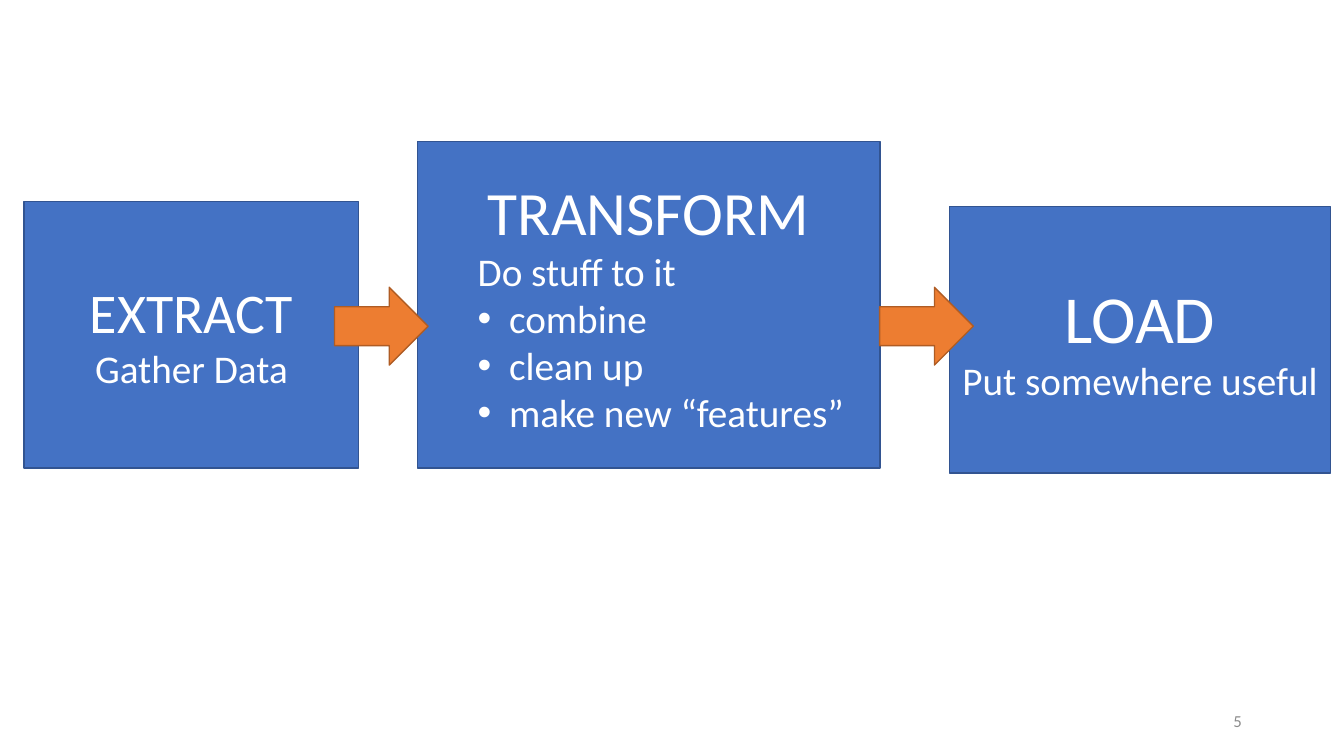
from lxml import etree
from pptx import Presentation
from pptx.dml.color import RGBColor
from pptx.enum.shapes import MSO_SHAPE
from pptx.enum.text import MSO_ANCHOR, PP_ALIGN
from pptx.oxml.ns import qn
from pptx.util import Cm, Pt

RECTANGLE, RIGHT_ARROW = MSO_SHAPE.RECTANGLE, MSO_SHAPE.RIGHT_ARROW
MIDDLE = MSO_ANCHOR.MIDDLE
LEFT, CENTER, RIGHT = PP_ALIGN.LEFT, PP_ALIGN.CENTER, PP_ALIGN.RIGHT

COLORS = {
    "box": "4472C4",
    "box_line": "325491",
    "arrow": "ED7D31",
    "arrow_line": "AF5C24",
    "text": "FFFFFF",
    "page_number": "8C8C8C",
}


class EtlSlide:
    """Draws the boxes, arrows and page number of an extract-transform-load slide."""

    font = "Calibri"
    body_size = 28
    body_indent = Cm(1.27)
    bullet_hang = Cm(0.79)

    def __init__(self, presentation):
        self.slide = presentation.slides.add_slide(presentation.slide_layouts[6])

    def color(self, name):
        return RGBColor.from_string(COLORS[name])

    def add_text(self, paragraph, text, size, color="text", alignment=CENTER):
        paragraph.alignment = alignment
        run = paragraph.add_run()
        run.text = text
        run.font.name = self.font
        run.font.size = Pt(size)
        run.font.color.rgb = self.color(color)

    def indent(self, paragraph, bullet):
        paragraph.level = 1
        hang = self.bullet_hang if bullet else 0
        properties = paragraph._p.get_or_add_pPr()
        properties.set("marL", str(self.body_indent + hang))
        properties.set("indent", str(-hang))
        if bullet:
            etree.SubElement(properties, qn("a:buFont")).set("typeface", "Arial")
            etree.SubElement(properties, qn("a:buChar")).set("char", "•")

    def shape(self, kind, style, left, top, width, height):
        shape = self.slide.shapes.add_shape(kind, Cm(left), Cm(top), Cm(width), Cm(height))
        shape.shadow.inherit = False
        shape.fill.solid()
        shape.fill.fore_color.rgb = self.color(style)
        shape.line.color.rgb = self.color(style + "_line")
        shape.line.width = Pt(1)
        return shape

    def box(self, left, top, width, height, title, title_size, body, bullets=()):
        frame = self.shape(RECTANGLE, "box", left, top, width, height).text_frame
        frame.word_wrap = True
        frame.vertical_anchor = MIDDLE
        self.add_text(frame.paragraphs[0], title, title_size)
        for text in (body, *bullets):
            paragraph = frame.add_paragraph()
            self.add_text(paragraph, text, self.body_size, alignment=LEFT if bullets else CENTER)
            if bullets:
                self.indent(paragraph, text in bullets)

    def arrow(self, left):
        self.shape(RIGHT_ARROW, "arrow", left, 7.24, 2.36, 1.96)

    def page_number(self, text):
        box = self.slide.shapes.add_textbox(Cm(23.93), Cm(17.65), Cm(7.62), Cm(1.02))
        frame = box.text_frame
        frame.word_wrap = True
        frame.vertical_anchor = MIDDLE
        self.add_text(frame.paragraphs[0], text, 12, "page_number", RIGHT)


def main():
    presentation = Presentation()
    presentation.slide_width = Cm(33.87)
    presentation.slide_height = Cm(19.05)
    slide = EtlSlide(presentation)
    slide.page_number("5")
    slide.box(0.61, 5.08, 8.43, 6.71, "EXTRACT", 40, "Gather Data")
    slide.box(10.52, 3.56, 11.66, 8.23, "TRANSFORM", 44, "Do stuff to it",
              ("combine", "clean up", "make new “features”"))
    slide.box(23.93, 5.21, 9.6, 6.71, "LOAD", 48, "Put somewhere useful")
    for left in (8.43, 22.17):
        slide.arrow(left)
    presentation.save("out.pptx")


if __name__ == "__main__":
    main()
